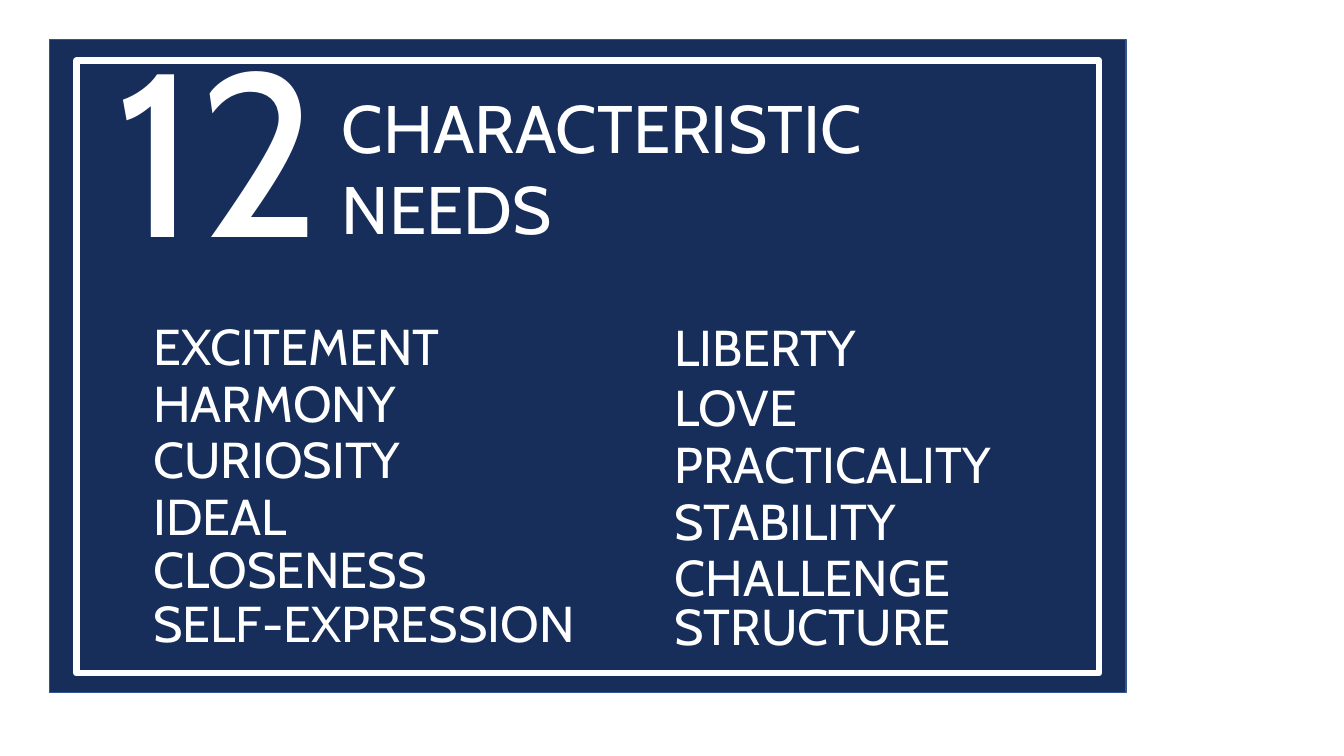
from pptx import Presentation
from pptx.dml.color import RGBColor
from pptx.enum.shapes import MSO_SHAPE
from pptx.enum.text import MSO_ANCHOR, MSO_AUTO_SIZE, PP_ALIGN
from pptx.util import Emu, Pt

NAVY = RGBColor(0x17, 0x2D, 0x5A)
EDGE_BLUE = RGBColor(0x32, 0x54, 0x91)
WHITE = RGBColor(0xFF, 0xFF, 0xFF)
FONT = "Cabin"
PX = 9144
FIRST_LINE = 61

LEFT_NEEDS = ["EXCITEMENT", "HARMONY", "CURIOSITY", "IDEAL", "CLOSENESS", "SELF-EXPRESSION"]
RIGHT_NEEDS = ["LIBERTY", "LOVE", "PRACTICALITY", "STABILITY", "CHALLENGE", "STRUCTURE"]
LEFT_STEPS = [56, 56, 56, 53, 53]
RIGHT_STEPS = [59, 57, 56, 56, 48]


def px(length):
    return Emu(length * PX)


def place(part, box):
    part.left, part.top, part.width, part.height = map(px, box)


def add_border(slide, box, line_color, line_width, fill_color=None):
    border = slide.shapes.add_shape(MSO_SHAPE.RECTANGLE, *map(px, box))
    border.shadow.inherit = False
    if fill_color is None:
        border.fill.background()
    else:
        border.fill.solid()
        border.fill.fore_color.rgb = fill_color
    border.line.color.rgb = line_color
    border.line.width = Pt(line_width)


def add_panel(slide, box):
    left, top, width, height = box
    add_border(slide, box, EDGE_BLUE, 1, NAVY)
    add_border(slide, (left + 27, top + 21, width - 54, height - 40), WHITE, 4.5)


def write_lines(part, lines, size):
    frame = part.text_frame
    frame.text = "\n".join(lines)
    frame.word_wrap = True
    frame.auto_size = MSO_AUTO_SIZE.NONE
    frame.vertical_anchor = MSO_ANCHOR.TOP
    for paragraph in frame.paragraphs:
        paragraph.alignment = PP_ALIGN.LEFT
        paragraph.space_before = Pt(0)
        paragraph.font.name = FONT
        paragraph.font.size = Pt(size)
        paragraph.font.color.rgb = WHITE
    return frame.paragraphs


def bring_to_front(part):
    part.element.getparent().append(part.element)


def add_heading(slide, box):
    left, top, width, height = box
    count = slide.shapes.add_textbox(*map(px, (left, top, 344, height)))
    write_lines(count, ["12"], 166)
    title = slide.shapes.title
    place(title, (left + 224, top + 81, width - 224, 172))
    write_lines(title, ["CHARACTERISTIC NEEDS"], 48)
    bring_to_front(title)


def add_needs(body, box, needs, steps):
    place(body, box)
    paragraphs = write_lines(body, needs, 36)
    for paragraph, step in zip(paragraphs, [FIRST_LINE, *steps]):
        paragraph.line_spacing = px(step)
        properties = paragraph._p.get_or_add_pPr()
        properties.set("marL", "0")
        properties.set("indent", "0")
        bullet = properties.makeelement(
            "{http://schemas.openxmlformats.org/drawingml/2006/main}buNone", {})
        properties.insert_element_before(bullet, "a:tabLst", "a:defRPr", "a:extLst")
    bring_to_front(body)


def main():
    deck = Presentation()
    deck.slide_width = px(1333)
    deck.slide_height = px(750)
    slide = deck.slides.add_slide(deck.slide_layouts[3])
    add_panel(slide, (49, 39, 1068, 648))
    add_heading(slide, (105, 0, 964, 289))
    left_body, right_body = list(slide.placeholders)[1:]
    add_needs(left_body, (142, 307, 510, 345), LEFT_NEEDS, LEFT_STEPS)
    add_needs(right_body, (659, 308, 432, 347), RIGHT_NEEDS, RIGHT_STEPS)
    deck.save("out.pptx")


if __name__ == "__main__":
    main()
